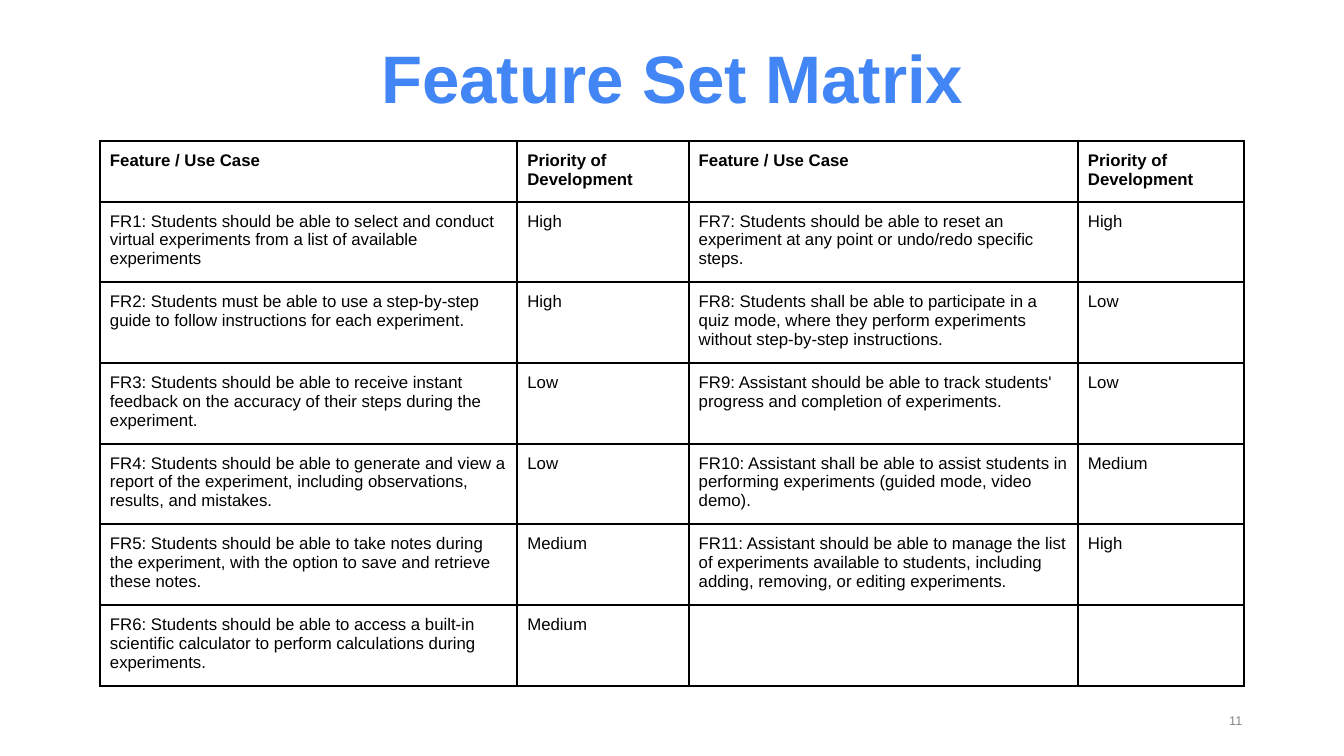
from typing import NamedTuple

import pptx
import pptx.dml.color
import pptx.enum.text
import pptx.oxml
import pptx.oxml.ns
import pptx.util

SLIDE_WIDTH = pptx.util.Inches(13.33)
SLIDE_HEIGHT = pptx.util.Inches(7.5)
FONT = "Arial"
COLOURS = {"title": "4285F4", "body": "000000", "number": "888888", "border": "000000"}
CELL_MARGIN = pptx.util.Inches(0.1)
BORDER_WIDTH = pptx.util.Pt(1.5)

# Percentages of the slide's width and height
MATRIX_LEFT, MATRIX_TOP = 7.43, 18.67
COLUMN_SHARES = (31.06, 12.75, 28.96, 12.38)
HEADER_SHARE, FEATURE_SHARE = 7.6, 10.2


class Label(NamedTuple):
    text: str
    left: float
    top: float
    width: float
    height: float
    size: float
    colour: str
    bold: bool
    align: pptx.enum.text.PP_ALIGN
    anchor: pptx.enum.text.MSO_ANCHOR
    line_spacing: float


class Feature(NamedTuple):
    use_case: str
    priority: str


LABELS = (
    Label("11", 85.07, 92.67, 8.1, 5.33, 9, "number", False,
          pptx.enum.text.PP_ALIGN.RIGHT, pptx.enum.text.MSO_ANCHOR.MIDDLE, 1.0),
    Label("Feature Set Matrix", 25.28, 6, 49.51, 10.27, 48, "title", True,
          pptx.enum.text.PP_ALIGN.CENTER, pptx.enum.text.MSO_ANCHOR.BOTTOM, 0.9),
)

HEADING = Feature("Feature / Use Case", "Priority of Development")
LEFT_FEATURES = (
    HEADING,
    Feature("FR1: Students should be able to select and conduct virtual experiments "
            "from a list of available experiments", "High"),
    Feature("FR2: Students must be able to use a step-by-step guide to follow "
            "instructions for each experiment.", "High"),
    Feature("FR3: Students should be able to receive instant feedback on the accuracy "
            "of their steps during the experiment.", "Low"),
    Feature("FR4: Students should be able to generate and view a report of the "
            "experiment, including observations, results, and mistakes.", "Low"),
    Feature("FR5: Students should be able to take notes during the experiment, with "
            "the option to save and retrieve these notes.", "Medium"),
    Feature("FR6: Students should be able to access a built-in scientific calculator "
            "to perform calculations during experiments.", "Medium"),
)
RIGHT_FEATURES = (
    HEADING,
    Feature("FR7: Students should be able to reset an experiment at any point or "
            "undo/redo specific steps.", "High"),
    Feature("FR8: Students shall be able to participate in a quiz mode, where they "
            "perform experiments without step-by-step instructions.", "Low"),
    Feature("FR9: Assistant should be able to track students' progress and completion "
            "of experiments.", "Low"),
    Feature("FR10: Assistant shall be able to assist students in performing "
            "experiments (guided mode, video demo).", "Medium"),
    Feature("FR11: Assistant should be able to manage the list of experiments "
            "available to students, including adding, removing, or editing "
            "experiments.", "High"),
    Feature("", ""),
)


def across(percent: float) -> int:
    return round(SLIDE_WIDTH * percent / 100)


def down(percent: float) -> int:
    return round(SLIDE_HEIGHT * percent / 100)


def style_font(font, size: float, colour: str, bold: bool) -> None:
    font.name = FONT
    font.size = pptx.util.Pt(size)
    font.bold = bold
    font.color.rgb = pptx.dml.color.RGBColor.from_string(COLOURS[colour])


def add_label(slide, label: Label) -> None:
    box = slide.shapes.add_textbox(across(label.left), down(label.top),
                                   across(label.width), down(label.height))
    frame = box.text_frame
    frame.word_wrap = True
    frame.vertical_anchor = label.anchor
    frame.text = label.text
    paragraph = frame.paragraphs[0]
    paragraph.alignment = label.align
    paragraph.line_spacing = label.line_spacing
    style_font(paragraph.runs[0].font, label.size, label.colour, label.bold)


def add_borders(cell) -> None:
    properties = cell._tc.get_or_add_tcPr()
    for side in ("lnL", "lnR", "lnT", "lnB"):
        properties.append(pptx.oxml.parse_xml(
            f'<a:{side} {pptx.oxml.ns.nsdecls("a")} w="{BORDER_WIDTH}"><a:solidFill>'
            f'<a:srgbClr val="{COLOURS["border"]}"/></a:solidFill>'
            f'<a:prstDash val="solid"/></a:{side}>'))


def fill_cell(cell, text: str, bold: bool) -> None:
    cell.margin_left = cell.margin_right = CELL_MARGIN
    cell.margin_top = cell.margin_bottom = CELL_MARGIN
    add_borders(cell)
    cell.fill.background()
    cell.text_frame.text = text
    for run in cell.text_frame.paragraphs[0].runs:
        style_font(run.font, 12, "body", bold)


def add_matrix(slide) -> None:
    row_shares = [HEADER_SHARE] + [FEATURE_SHARE] * (len(LEFT_FEATURES) - 1)
    matrix = slide.shapes.add_table(
        len(row_shares), len(COLUMN_SHARES), across(MATRIX_LEFT), down(MATRIX_TOP),
        across(sum(COLUMN_SHARES)), down(sum(row_shares))).table
    matrix.first_row = False
    matrix.horz_banding = False
    for column, share in zip(matrix.columns, COLUMN_SHARES):
        column.width = across(share)
    for row, share in zip(matrix.rows, row_shares):
        row.height = down(share)
    for index, (left, right) in enumerate(zip(LEFT_FEATURES, RIGHT_FEATURES)):
        for column_index, text in enumerate((*left, *right)):
            fill_cell(matrix.cell(index, column_index), text, bold=index == 0)


def main() -> None:
    deck = pptx.Presentation()
    deck.slide_width = SLIDE_WIDTH
    deck.slide_height = SLIDE_HEIGHT
    slide = deck.slides.add_slide(deck.slide_layouts[6])
    for label in LABELS:
        add_label(slide, label)
    add_matrix(slide)
    deck.save("out.pptx")


if __name__ == "__main__":
    main()
